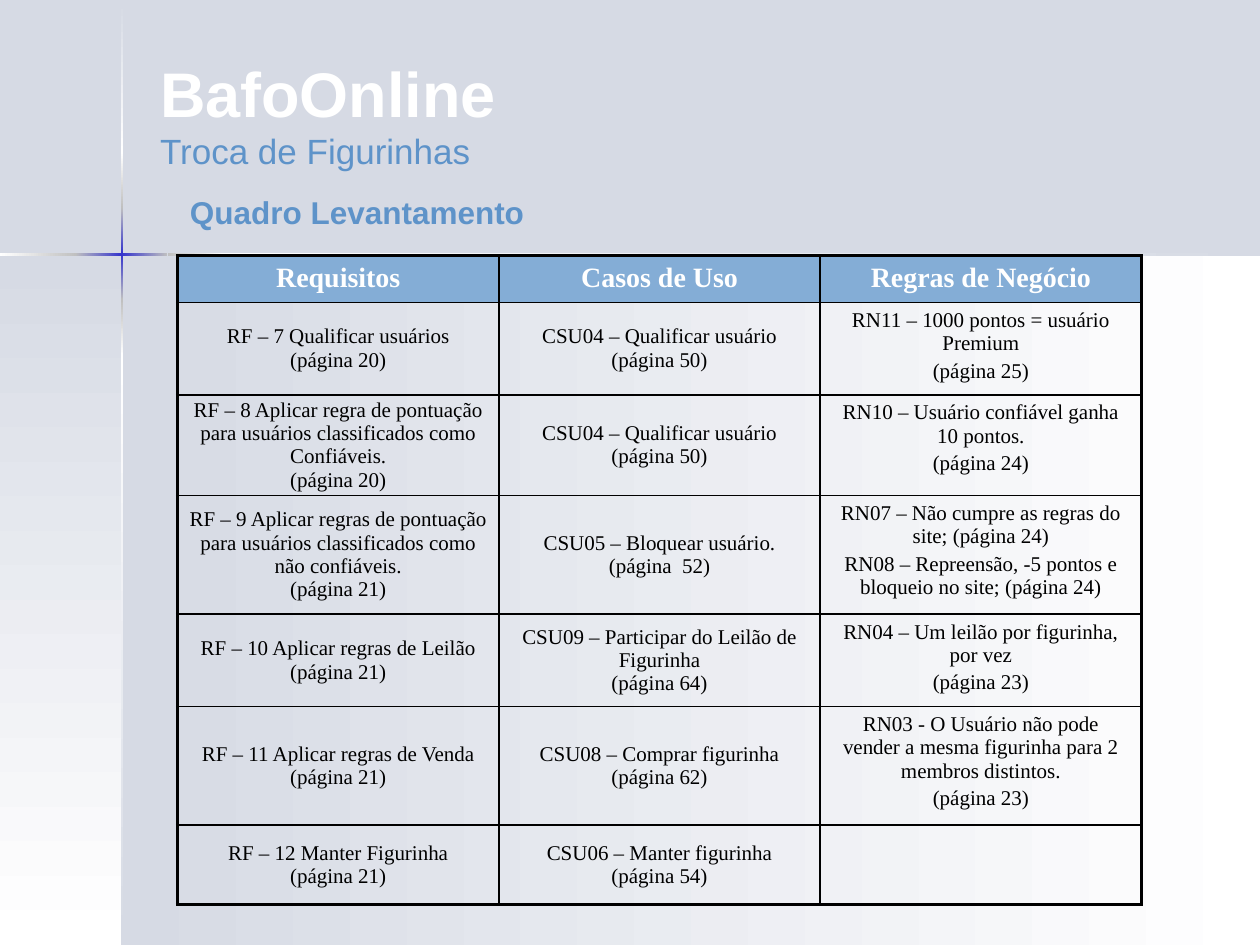
from pptx import Presentation
from pptx.dml.color import RGBColor
from pptx.enum.shapes import MSO_SHAPE as Shape
from pptx.enum.text import MSO_ANCHOR as Anchor, MSO_AUTO_SIZE as AutoSize, PP_ALIGN as Align
from pptx.oxml import parse_xml
from pptx.oxml.ns import nsdecls, qn
from pptx.util import Inches, Pt

COLORS = {"mist": "D6DAE4", "white": "FFFFFF", "silver": "C0C0C0", "indigo": "3333CC",
          "blue": "5E93C9", "header": "84ADD6", "black": "000000"}
TITLE = {"name": "Arial", "size": 36, "bold": True, "color": "white"}
SUBTITLE = {"name": "Arial", "size": 20, "bold": False, "color": "blue"}
SECTION = {"name": "Arial", "size": 18, "bold": True, "color": "blue"}
HEADER = {"name": "Times New Roman", "size": 16, "bold": True, "color": "white"}
BODY = {"name": "Times New Roman", "size": 12, "bold": False, "color": "black"}
THIN, THICK = 1, 2.25


class SlideBuilder:
    """Holds the style and the current slide."""

    def __init__(self, deck):
        """Add a title-only slide with the background colour."""
        self.slide = deck.slides.add_slide(deck.slide_layouts[5])
        fill = self.slide.background.fill
        fill.solid()
        fill.fore_color.rgb = self.rgb("mist")

    @staticmethod
    def rgb(name):
        """Return a named colour."""
        return RGBColor.from_string(COLORS[name])

    def fill_text(self, frame, lines, align=Align.LEFT, gap=0, **layout):
        """Fill a text frame with (text, style) lines, one per paragraph."""
        for key, value in layout.items():
            setattr(frame, key, value)
        for index, (text, style) in enumerate(lines):
            paragraph = frame.add_paragraph() if index else frame.paragraphs[0]
            paragraph.alignment = align
            paragraph.space_before = Pt(gap if index else 0)
            run = paragraph.add_run()
            run.text = text
            values = {"name": style["name"], "size": Pt(style["size"]), "bold": style["bold"]}
            for key, value in values.items():
                setattr(run.font, key, value)
            run.font.color.rgb = self.rgb(style["color"])

    def title(self, box, lines):
        """Place and fill the title placeholder."""
        title = self.slide.shapes.title
        for key, value in zip(("left", "top", "width", "height"), box):
            setattr(title, key, Inches(value))
        self.fill_text(title.text_frame, lines, word_wrap=True, auto_size=AutoSize.NONE,
                       vertical_anchor=Anchor.TOP, margin_top=Inches(0.1))

    def text(self, box, lines):
        """Add a wrapping text box."""
        label = self.slide.shapes.add_textbox(*map(Inches, box))
        self.fill_text(label.text_frame, lines, word_wrap=True)

    def gradient(self, box, names, angle):
        """Add a borderless rectangle with evenly spaced gradient stops."""
        band = self.slide.shapes.add_shape(Shape.RECTANGLE, *map(Inches, box))
        band.shadow.inherit = False
        band.line.fill.background()
        band.fill.background()
        step = 100000 // (len(names) - 1)
        stops = "".join(f'<a:gs pos="{i * step}"><a:srgbClr val="{COLORS[name]}"/></a:gs>'
                        for i, name in enumerate(names))
        properties = band._element.spPr
        properties.replace(properties.find(qn("a:noFill")), parse_xml(
            f'<a:gradFill {nsdecls("a")} rotWithShape="1"><a:gsLst>{stops}</a:gsLst>'
            f'<a:lin ang="{angle * 60000}" scaled="0"/></a:gradFill>'))

    def borders(self, cell, widths):
        """Draw the left, right, top and bottom borders of a cell."""
        for index, (side, width) in enumerate(zip("LRTB", widths)):
            cell._tc.get_or_add_tcPr().insert(index, parse_xml(
                f'<a:ln{side} {nsdecls("a")} w="{int(Pt(width))}"><a:solidFill>'
                f'<a:srgbClr val="{COLORS["black"]}"/></a:solidFill></a:ln{side}>'))

    def table(self, left, top, column_width, heights, rows):
        """Add a table with a header row and a thick outer frame."""
        last_row, last_column = len(rows) - 1, len(rows[0]) - 1
        table = self.slide.shapes.add_table(
            len(rows), len(rows[0]), Inches(left), Inches(top),
            Inches(column_width * len(rows[0])), Inches(sum(heights))).table
        table.first_row = table.horz_banding = False
        for column in table.columns:
            column.width = Inches(column_width)
        for r, (row, height) in enumerate(zip(rows, heights)):
            table.rows[r].height = Inches(height)
            for c, lines in enumerate(row):
                cell = table.cell(r, c)
                style = BODY if r else HEADER
                self.fill_text(cell.text_frame, [(line, style) for line in lines],
                               Align.CENTER, gap=2.4 if c == last_column else 0)
                if r:
                    cell.fill.background()
                else:
                    cell.fill.solid()
                    cell.fill.fore_color.rgb = self.rgb("header")
                if r and c < last_column:
                    layout = {"vertical_anchor": Anchor.MIDDLE, "margin_top": 0,
                              "margin_bottom": 0, "margin_left": Inches(0.07),
                              "margin_right": Inches(0.07)}
                    for key, value in layout.items():
                        setattr(cell, key, value)
                outer = (c == 0, c == last_column, r == 0, r == last_row)
                self.borders(cell, [THICK if edge else THIN for edge in outer])


FADE = ("mist", "white")
FLARE = ("silver", "indigo", "silver")
BACKDROP = [
    ((0.97, 2.02, 9.03, 5.48), FADE, 0),
    ((0, 2.02, 0.97, 5.48), FADE, 90),
    ((0.96, 0.01, 0.02, 1.21), FADE, 90),
    ((0.96, 2.82, 0.02, 4.68), FADE[::-1], 90),
    ((1.77, 2.01, 8.23, 0.02), FADE[::-1], 0),
    ((0.96, 2.38, 0.02, 0.44), ("silver", "white"), 90),
    ((0.96, 1.21, 0.02, 0.44), ("white", "silver"), 90),
    ((0.96, 1.65, 0.02, 0.73), FLARE, 90),
    ((0, 2.01, 0.61, 0.02), ("white", "silver"), 0),
    ((1.33, 2.01, 0.44, 0.02), ("silver", "white"), 0),
    ((0.6, 2.01, 0.73, 0.02), FLARE, 0),
]
REQUIREMENTS = [
    (["Requisitos"], ["Casos de Uso"], ["Regras de Negócio"]),
    (["RF – 7 Qualificar usuários", "(página 20)"],
     ["CSU04 – Qualificar usuário", "(página 50)"],
     ["RN11 – 1000 pontos = usuário Premium", "(página 25)"]),
    (["RF – 8 Aplicar regra de pontuação para usuários classificados como Confiáveis.",
      "(página 20)"],
     ["CSU04 – Qualificar usuário", "(página 50)"],
     ["RN10 – Usuário confiável ganha 10 pontos.", "(página 24)"]),
    (["RF – 9 Aplicar regras de pontuação para usuários classificados como não confiáveis.",
      "(página 21)"],
     ["CSU05 – Bloquear usuário.", "(página  52)"],
     ["RN07 – Não cumpre as regras do site; (página 24)",
      "RN08 – Repreensão, -5 pontos e bloqueio no site; (página 24)"]),
    (["RF – 10 Aplicar regras de Leilão", "(página 21)"],
     ["CSU09 – Participar do Leilão de Figurinha", "(página 64)"],
     ["RN04 – Um leilão por figurinha, por vez", "(página 23)"]),
    (["RF – 11 Aplicar regras de Venda", "(página 21)"],
     ["CSU08 – Comprar figurinha", "(página 62)"],
     ["RN03 - O Usuário não pode vender a mesma figurinha para 2 membros distintos.",
      "(página 23)"]),
    (["RF – 12 Manter Figurinha", "(página 21)"],
     ["CSU06 – Manter figurinha", "(página 54)"], []),
]
ROW_HEIGHTS = [0.37, 0.73, 0.8, 0.94, 0.73, 0.94, 0.63]


def main():
    """Build and save the requirements slide."""
    deck = Presentation()
    deck.slide_width, deck.slide_height = Inches(10), Inches(7.5)
    page = SlideBuilder(deck)
    for box, names, angle in BACKDROP:
        page.gradient(box, names, angle)
    page.title((1.17, 0.33, 8.25, 1.37), [("BafoOnline", TITLE), ("Troca de Figurinhas", SUBTITLE)])
    page.text((1.41, 1.48, 6.06, 0.4), [("Quadro Levantamento", SECTION)])
    page.table(1.41, 2.03, 2.55, ROW_HEIGHTS, REQUIREMENTS)
    deck.save("out.pptx")


main()
